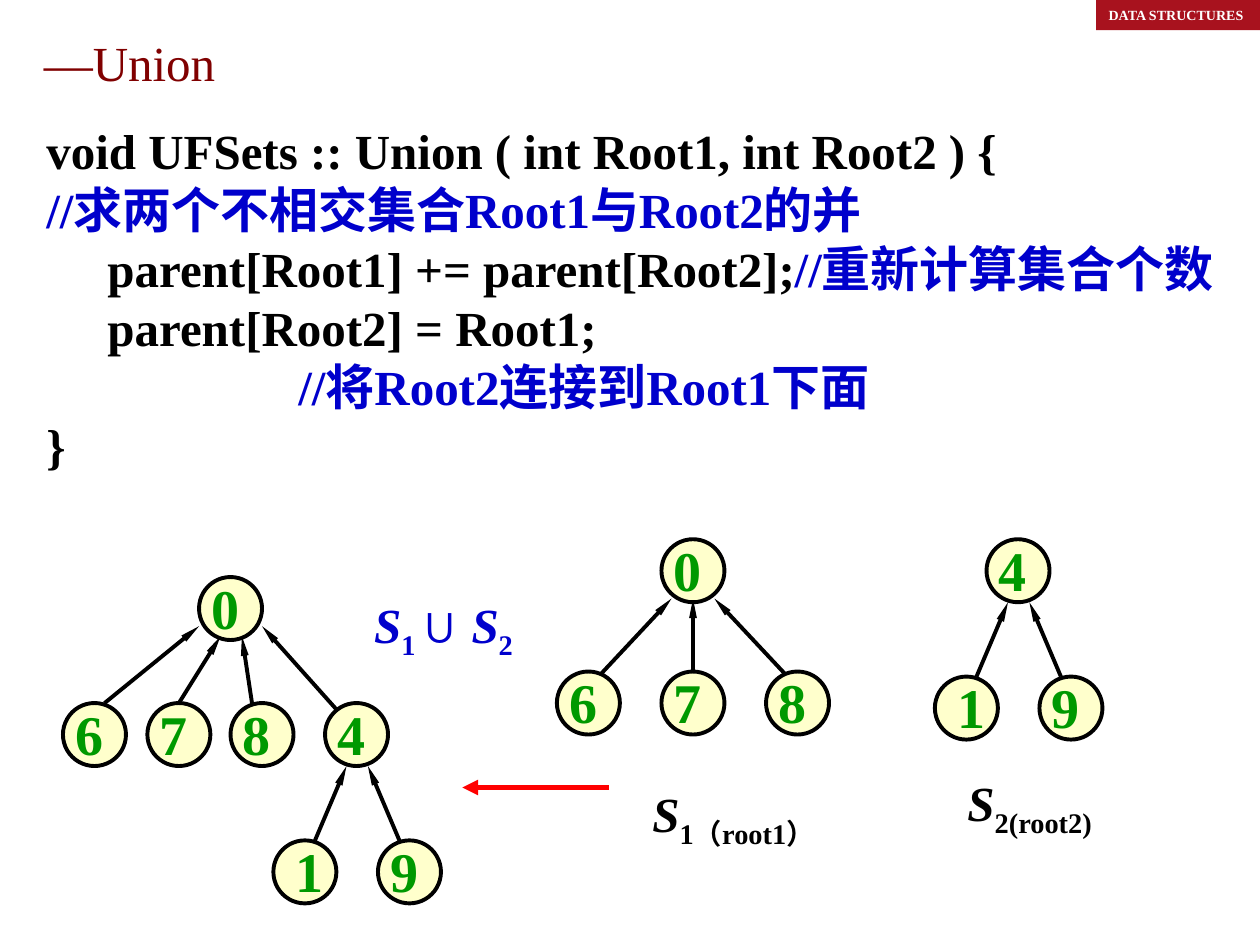
from lxml import etree
from pptx import Presentation
from pptx.dml.color import RGBColor
from pptx.enum.shapes import MSO_CONNECTOR, MSO_SHAPE
from pptx.enum.text import MSO_ANCHOR, PP_ALIGN
from pptx.oxml.ns import qn
from pptx.util import Inches, Pt

OVAL, RECTANGLE = MSO_SHAPE.OVAL, MSO_SHAPE.RECTANGLE
STRAIGHT = MSO_CONNECTOR.STRAIGHT
TOP, MIDDLE = MSO_ANCHOR.TOP, MSO_ANCHOR.MIDDLE
LEFT, CENTER = PP_ALIGN.LEFT, PP_ALIGN.CENTER

BLACK, BLUE, GREEN, RED = "000000", "0000CC", "009900", "FF0000"
MAROON, CRIMSON, CREAM, WHITE = "800000", "A8121E", "FFFFCC", "FFFFFF"
NODE_SIZE = 0.5


def color(value):
    return RGBColor.from_string(value)


class TreePage:
    """Holds the text style and the current slide."""

    font_name = "Times New Roman"
    text_size = 28

    def __init__(self, page):
        self.page = page

    def span(self, para, text, ink=BLACK, size=None, bold=True, italic=False,
             subscript=False, font_name=None):
        run = para.add_run()
        run.text = text
        run.font.name = font_name or self.font_name
        run.font.size = Pt(size or self.text_size)
        run.font.bold = bold
        run.font.italic = italic
        run.font.color.rgb = color(ink)
        if subscript:
            run.font._element.set("baseline", "-25000")

    def text(self, left, top, width, height, lines, align=LEFT, wrap=True):
        """Each line is a list of (text, style) spans."""
        box = self.page.shapes.add_textbox(
            Inches(left), Inches(top), Inches(width), Inches(height))
        frame = box.text_frame
        frame.word_wrap = wrap
        frame.vertical_anchor = TOP
        for index, spans in enumerate(lines):
            para = frame.add_paragraph() if index else frame.paragraphs[0]
            para.alignment = align
            if any("\t" in words for words, _ in spans):
                self.tab_stops(para, (1, 2))
            for words, style in spans:
                self.span(para, words, **style)

    def tab_stops(self, para, stops):
        properties = para._p.get_or_add_pPr()
        tabs = etree.SubElement(properties, qn("a:tabLst"))
        for stop in stops:
            etree.SubElement(tabs, qn("a:tab"), pos=str(Inches(stop)), algn="l")

    def shape(self, kind, left, top, width, height, fill, line=None):
        shape = self.page.shapes.add_shape(
            kind, Inches(left), Inches(top), Inches(width), Inches(height))
        shape.shadow.inherit = False
        shape.fill.solid()
        shape.fill.fore_color.rgb = color(fill)
        if line:
            shape.line.color.rgb = color(line)
            shape.line.width = Pt(2.25)
        else:
            shape.line.fill.background()
        return shape

    def banner(self, text):
        bar = self.shape(RECTANGLE, 8.7, 0, 1.33, 0.24, CRIMSON)
        bar.text_frame.word_wrap = True
        bar.text_frame.vertical_anchor = MIDDLE
        para = bar.text_frame.paragraphs[0]
        para.alignment = LEFT
        self.span(para, text, WHITE, size=8)

    def arrow(self, start, end, ink=BLACK, width=2.25, head=("sm", "lg")):
        line = self.page.shapes.add_connector(
            STRAIGHT, *(Inches(value) for value in (*start, *end)))
        line.line.color.rgb = color(ink)
        line.line.width = Pt(width)
        etree.SubElement(line.line._get_or_add_ln(), qn("a:tailEnd"),
                         type="triangle", w=head[0], len=head[1])
        etree.SubElement(line._element.spPr, qn("a:effectLst"))

    def node(self, label, left, top, shift=0):
        self.shape(OVAL, left, top, NODE_SIZE, NODE_SIZE, CREAM, BLACK)
        self.text(left + shift, top - 0.08, 0.42, 0.64,
                  [[(label, {"ink": GREEN, "size": 32})]])

    def pair_tree(self, left, top):
        """Root 4 with the children 1 and 9."""
        level = top + 1.09
        self.arrow((left - 0.08, level), (left + 0.17, top + NODE_SIZE))
        self.arrow((left + 0.59, level), (left + 0.34, top + NODE_SIZE))
        self.node("4", left, top)
        self.node("1", left - 0.41, level, shift=0.08)
        self.node("9", left + 0.42, level)


def main():
    deck = Presentation()
    deck.slide_width, deck.slide_height = Inches(10), Inches(7.5)
    tree = TreePage(deck.slides.add_slide(deck.slide_layouts[6]))

    comment = {"ink": BLUE}
    letter, index = {"italic": True}, {"subscript": True}

    # Header and title
    tree.banner("DATA STRUCTURES")
    tree.text(0.25, 0.21, 9.75, 0.6,
              [[("—Union", {"ink": MAROON, "bold": False})]])

    # Code
    tree.text(0.27, 0.91, 9.73, 3.61, [
        [("void UFSets :: Union ( int Root1, int Root2 ) {", {})],
        [("//求两个不相交集合Root1与Root2的并", comment)],
        [("     parent[Root1] += parent[Root2];", {}),
         ("//重新计算集合个数", comment)],
        [("     parent[Root2] = Root1;", {})],
        [("\t\t", {}), ("//将Root2连接到Root1下面", comment)],
        [("}", {})],
    ])

    # First set
    for start, end in (((5.5, 5.33), (5.5, 4.75)),
                       ((6.25, 5.37), (5.67, 4.75)),
                       ((4.75, 5.37), (5.33, 4.75))):
        tree.arrow(start, end)
    tree.node("0", 5.25, 4.28)
    for label, left in (("6", 4.42), ("7", 5.25), ("8", 6.08)):
        tree.node(label, left, 5.33)
    tree.text(5.08, 6.17, 1.67, 1.16, [[("S", letter), ("1（root1）", index)]])

    # Second set
    tree.pair_tree(7.83, 4.28)
    tree.text(7.58, 6.08, 1.5, 0.63, [[("S", letter), ("2(root2)", index)]])

    # Union of both sets
    for start, end in (((0.83, 5.58), (1.58, 4.97)),
                       ((1.42, 5.58), (1.75, 5.05)),
                       ((2, 5.58), (1.92, 5.05)),
                       ((2.67, 5.63), (2.08, 4.97))):
        tree.arrow(start, end)
    tree.node("0", 1.58, 4.58)
    for label, left in (("6", 0.5), ("7", 1.17), ("8", 1.83)):
        tree.node(label, left, 5.58)
    tree.pair_tree(2.58, 5.58)
    tree.text(2.86, 4.67, 1.32, 0.63, [[
        ("S", {**letter, **comment}), ("1 ", {**index, **comment}),
        ("∪ ", {"font_name": "Arial", **comment}),
        ("S", {**letter, **comment}), ("2", {**index, **comment}),
    ]], align=CENTER, wrap=False)
    tree.arrow((4.83, 6.25), (3.67, 6.25), RED, 3, head=("med", "med"))

    deck.save("out.pptx")


if __name__ == "__main__":
    main()
